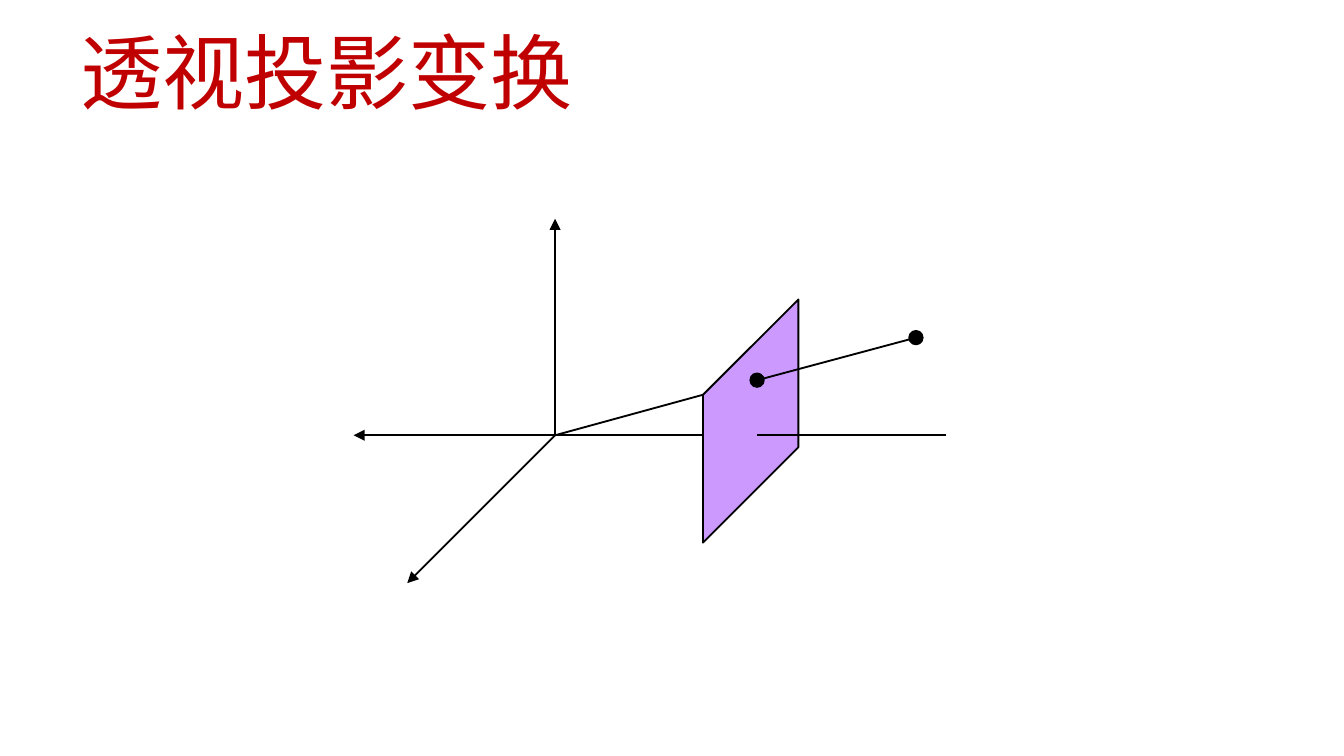
from lxml import etree
from pptx import Presentation
from pptx.dml.color import RGBColor
from pptx.enum import shapes, text
from pptx.oxml import ns
from pptx.util import Pt

COLORS = {"title": "C00000", "ink": "000000", "plane": "CC99FF"}
FONT = "Noto Sans CJK SC"


def rgb(name):
    """Return the named colour."""
    return RGBColor.from_string(COLORS[name])


def style(figure, fill):
    """Give a filled figure its colour, thin outline and no shadow."""
    figure.shadow.inherit = False
    figure.fill.solid()
    figure.fill.fore_color.rgb = rgb(fill)
    figure.line.color.rgb = rgb("ink")
    figure.line.width = Pt(1)


def add_line(group, start, end, arrow=False):
    """Draw a thin line, with an arrowhead at its end if asked."""
    line = group.shapes.add_connector(
        shapes.MSO_CONNECTOR.STRAIGHT, *(Pt(v) for v in (*start, *end)))
    line.line.color.rgb = rgb("ink")
    line.line.width = Pt(1)
    if arrow:
        etree.SubElement(line.line._get_or_add_ln(), ns.qn("a:tailEnd"), type="triangle")
    etree.SubElement(line._element.spPr, ns.qn("a:effectLst"))


def add_dot(group, center, size=7.2):
    """Draw a round black point around its centre."""
    x, y = center
    dot = group.shapes.add_shape(
        shapes.MSO_SHAPE.OVAL, Pt(x - size / 2), Pt(y - size / 2), Pt(size), Pt(size))
    style(dot, "ink")


def add_plane(group, corners):
    """Draw the projection plane through its corners."""
    first, *others = [(Pt(x), Pt(y)) for x, y in corners]
    builder = group.shapes.build_freeform(*first)
    builder.add_line_segments(others, close=True)
    style(builder.convert_to_shape(), "plane")


def add_title(slide, left, top, width, height):
    """Write the slide title in the given box."""
    heading = slide.shapes.add_textbox(Pt(left), Pt(top), Pt(width), Pt(height))
    frame = heading.text_frame
    frame.word_wrap = True
    frame.vertical_anchor = text.MSO_ANCHOR.MIDDLE
    run = frame.paragraphs[0].add_run()
    run.text = "透视投影变换"
    run.font.size = Pt(44)
    run.font.name = FONT
    run.font.color.rgb = rgb("title")
    etree.SubElement(run._r.get_or_add_rPr(), ns.qn("a:ea"), typeface=FONT)


def add_projection(slide, left, top, width, height):
    """Draw the axes, the plane and the projected point in the given box."""
    group = slide.shapes.add_group_shape()
    eye_x, eye_y = eye = (left + 108, top + 116)
    near, far = left + 187.2, left + 238.3
    skew = far - near
    plane_top, side = top + 43.2, 79.2
    near_top = plane_top + skew
    image = (left + 216.2, top + 86.5)
    point = (left + 301.3, top + 63.7)

    depth = height - (eye_y - top)
    for tip in ((eye_x, top), (left, eye_y), (eye_x - depth, top + height)):
        add_line(group, eye, tip, arrow=True)
    add_line(group, eye, (near, eye_y))
    add_plane(group, [(far, plane_top + side), (near, near_top + side),
                      (near, near_top), (far, plane_top)])
    add_line(group, (image[0], eye_y), (left + width, eye_y))
    add_dot(group, image)
    add_dot(group, point)
    add_line(group, eye, (near, near_top))
    add_line(group, image, point)


def main():
    """Build the slide and save it."""
    deck = Presentation()
    deck.slide_width, deck.slide_height = Pt(720), Pt(405)
    slide = deck.slides.add_slide(deck.slide_layouts[6])
    add_title(slide, 36, 10, 648, 56)
    add_projection(slide, 189.4, 117.2, 317.4, 195.2)
    deck.save("out.pptx")


if __name__ == "__main__":
    main()
